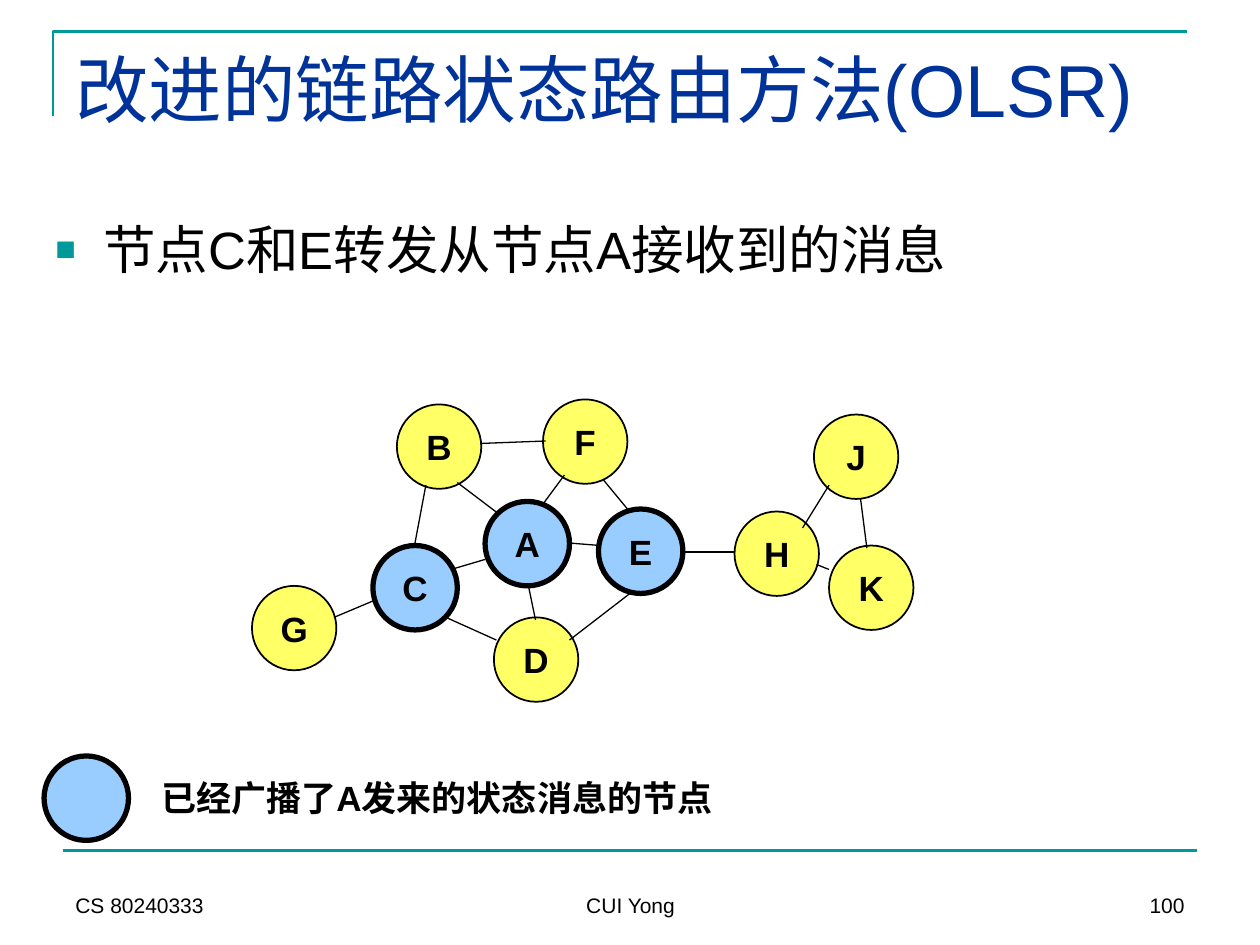
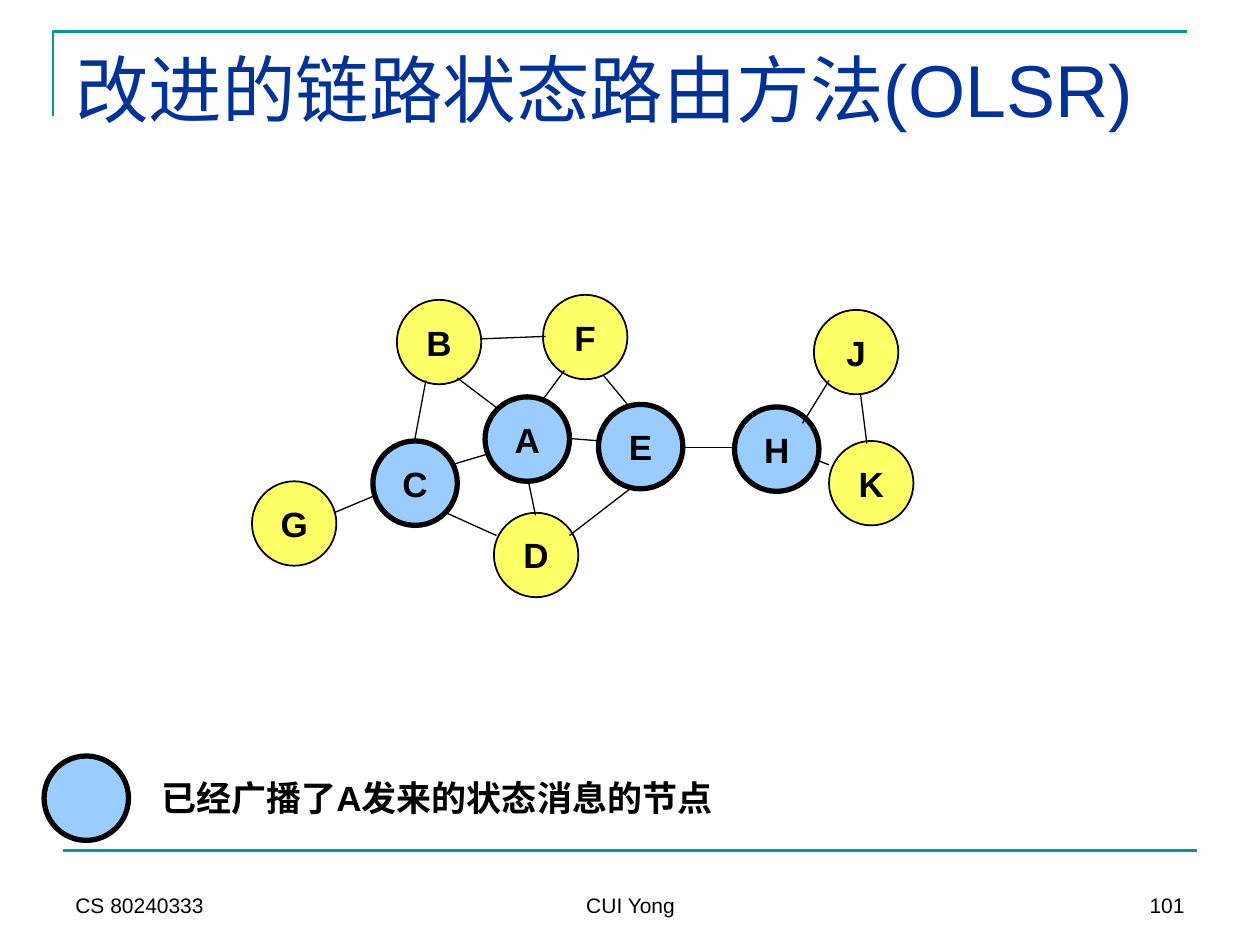
"""Build two slides on flooding in an improved link state routing method."""
from typing import NamedTuple

from lxml import etree
from pptx import Presentation
from pptx import util as u
from pptx.dml import color
from pptx.enum import shapes, text
from pptx.oxml import ns

PX = u.Inches(1) // 100
FONT = "Arial"
TEAL, NAVY, BLACK = "009999", "003399", "000000"
BLUE, YELLOW = "99CCFF", "FFFF66"
LEFT, CENTER, RIGHT = text.PP_ALIGN.LEFT, text.PP_ALIGN.CENTER, text.PP_ALIGN.RIGHT
TOP, MIDDLE, BOTTOM = text.MSO_ANCHOR.TOP, text.MSO_ANCHOR.MIDDLE, text.MSO_ANCHOR.BOTTOM
NODE_SIZE = 67
TITLE = "改进的链路状态路由方法(OLSR)"
LEGEND = "已经广播了A发来的状态消息的节点"


class Node(NamedTuple):
    label: str
    x: int
    y: int


class Link(NamedTuple):
    x1: int
    y1: int
    x2: int
    y2: int


class Label(NamedTuple):
    x: int
    y: int
    width: int
    height: int
    size: int
    hue: str = BLACK
    bold: bool = False
    align: text.PP_ALIGN = LEFT
    anchor: text.MSO_ANCHOR = TOP
    wrap: bool = True
    bullet: bool = False


class Stage(NamedTuple):
    page: str
    point: str
    rise: int
    forwarders: str


NODES = [
    Node("A", 385, 398), Node("B", 315, 321), Node("F", 431, 317),
    Node("C", 296, 433), Node("D", 392, 490), Node("E", 475, 404),
    Node("H", 583, 406), Node("G", 200, 465), Node("K", 658, 433),
    Node("J", 646, 329),
]
LINKS = [
    Link(265, 490, 296, 477), Link(363, 383, 396, 408), Link(358, 452, 385, 444),
    Link(419, 463, 425, 492), Link(431, 400, 448, 377), Link(452, 431, 477, 433),
    Link(542, 438, 583, 438), Link(658, 385, 637, 419), Link(648, 448, 658, 452),
    Link(683, 396, 688, 435), Link(338, 385, 329, 433), Link(381, 352, 433, 350),
    Link(479, 381, 498, 404), Link(354, 490, 394, 508), Link(500, 471, 452, 508),
]
STAGES = [
    Stage("100", "节点C和E转发从节点A接收到的消息", 0, "ACE"),
    Stage("101", "", 83, "ACEH"),
]
TITLE_LABEL = Label(50, 30, 900, 125, 42, NAVY)
POINT_LABEL = Label(34, 167, 915, 125, 30, bullet=True)
LEGEND_LABEL = Label(118, 611, 471, 44, 20, bold=True, anchor=MIDDLE, wrap=False)
COURSE_LABEL = Label(50, 683, 233, 50, 12, anchor=BOTTOM)
AUTHOR_LABEL = Label(342, 683, 317, 50, 12, align=CENTER, anchor=BOTTOM)
PAGE_LABEL = Label(717, 683, 233, 50, 12, align=RIGHT, anchor=BOTTOM)


def px(length: int) -> u.Emu:
    """Turn px into EMU."""
    return u.Emu(length * PX)


def rgb(code: str) -> color.RGBColor:
    """Turn a hex string into a colour."""
    return color.RGBColor.from_string(code)


def write(paragraph, words: str, size: int, hue: str, bold: bool) -> None:
    """Add one styled run."""
    run = paragraph.add_run()
    run.text = words
    run.font.name = FONT
    run.font.size = u.Pt(size)
    run.font.bold = bold
    run.font.color.rgb = rgb(hue)


def add_bullet(paragraph) -> None:
    """Give a paragraph a hanging square bullet."""
    props = paragraph._p.get_or_add_pPr()
    props.set("marL", str(px(38)))
    props.set("indent", str(px(-38)))
    hue = etree.SubElement(props, ns.qn("a:buClr"))
    etree.SubElement(hue, ns.qn("a:srgbClr"), val=TEAL)
    etree.SubElement(props, ns.qn("a:buSzPct"), val="65000")
    etree.SubElement(props, ns.qn("a:buFont"), typeface=FONT)
    etree.SubElement(props, ns.qn("a:buChar"), char="■")


def draw_label(slide, label: Label, words: str) -> None:
    """Draw a text box."""
    box = slide.shapes.add_textbox(px(label.x), px(label.y), px(label.width), px(label.height))
    frame = box.text_frame
    frame.word_wrap = label.wrap
    frame.vertical_anchor = label.anchor
    paragraph = frame.paragraphs[0]
    paragraph.alignment = label.align
    if label.bullet:
        add_bullet(paragraph)
    write(paragraph, words, label.size, label.hue, label.bold)


def draw_link(slide, link: Link, hue: str = BLACK, weight: float = 0.75) -> None:
    """Draw a straight line."""
    line = slide.shapes.add_connector(shapes.MSO_CONNECTOR.STRAIGHT, *map(px, link))
    line.line.color.rgb = rgb(hue)
    line.line.width = u.Pt(weight)
    etree.SubElement(line._element.spPr, ns.qn("a:effectLst"))


def draw_node(slide, node: Node, forwards: bool) -> None:
    """Draw a network node, marked if it has forwarded the message."""
    circle = slide.shapes.add_shape(
        shapes.MSO_SHAPE.OVAL, px(node.x), px(node.y), px(NODE_SIZE), px(NODE_SIZE))
    circle.shadow.inherit = False
    circle.fill.solid()
    circle.fill.fore_color.rgb = rgb(BLUE if forwards else YELLOW)
    circle.line.color.rgb = rgb(BLACK)
    circle.line.width = u.Pt(3 if forwards else 1)
    if node.label:
        frame = circle.text_frame
        frame.word_wrap = False
        frame.vertical_anchor = MIDDLE
        frame.paragraphs[0].alignment = CENTER
        write(frame.paragraphs[0], node.label, 20, BLACK, True)


def draw_frame(slide, page: str) -> None:
    """Draw the corner rule, footer and title."""
    outline = slide.shapes.build_freeform(42, 92, PX)
    outline.add_line_segments([(42, 25), (942, 25)], close=False)
    corner = outline.convert_to_shape()
    corner.shadow.inherit = False
    corner.fill.background()
    corner.line.color.rgb = rgb(TEAL)
    corner.line.width = u.Pt(1.5)
    draw_link(slide, Link(50, 675, 950, 675), TEAL, 1.5)
    draw_label(slide, COURSE_LABEL, "CS 80240333")
    draw_label(slide, AUTHOR_LABEL, "CUI Yong")
    draw_label(slide, PAGE_LABEL, page)
    draw_label(slide, TITLE_LABEL, TITLE)


def draw_network(slide, stage: Stage) -> None:
    """Draw the nodes and links at one stage of flooding."""
    for node in NODES:
        draw_node(slide, node._replace(y=node.y - stage.rise), node.label in stage.forwarders)
    for link in LINKS:
        draw_link(slide, link._replace(y1=link.y1 - stage.rise, y2=link.y2 - stage.rise))


def main() -> None:
    """Build and save the slides."""
    deck = Presentation()
    deck.slide_width, deck.slide_height = px(1000), px(750)
    for stage in STAGES:
        slide = deck.slides.add_slide(deck.slide_layouts[6])
        draw_frame(slide, stage.page)
        if stage.point:
            draw_label(slide, POINT_LABEL, stage.point)
        draw_network(slide, stage)
        draw_node(slide, Node("", 35, 600), True)
        draw_label(slide, LEGEND_LABEL, LEGEND)
    deck.save("out.pptx")


if __name__ == "__main__":
    main()
